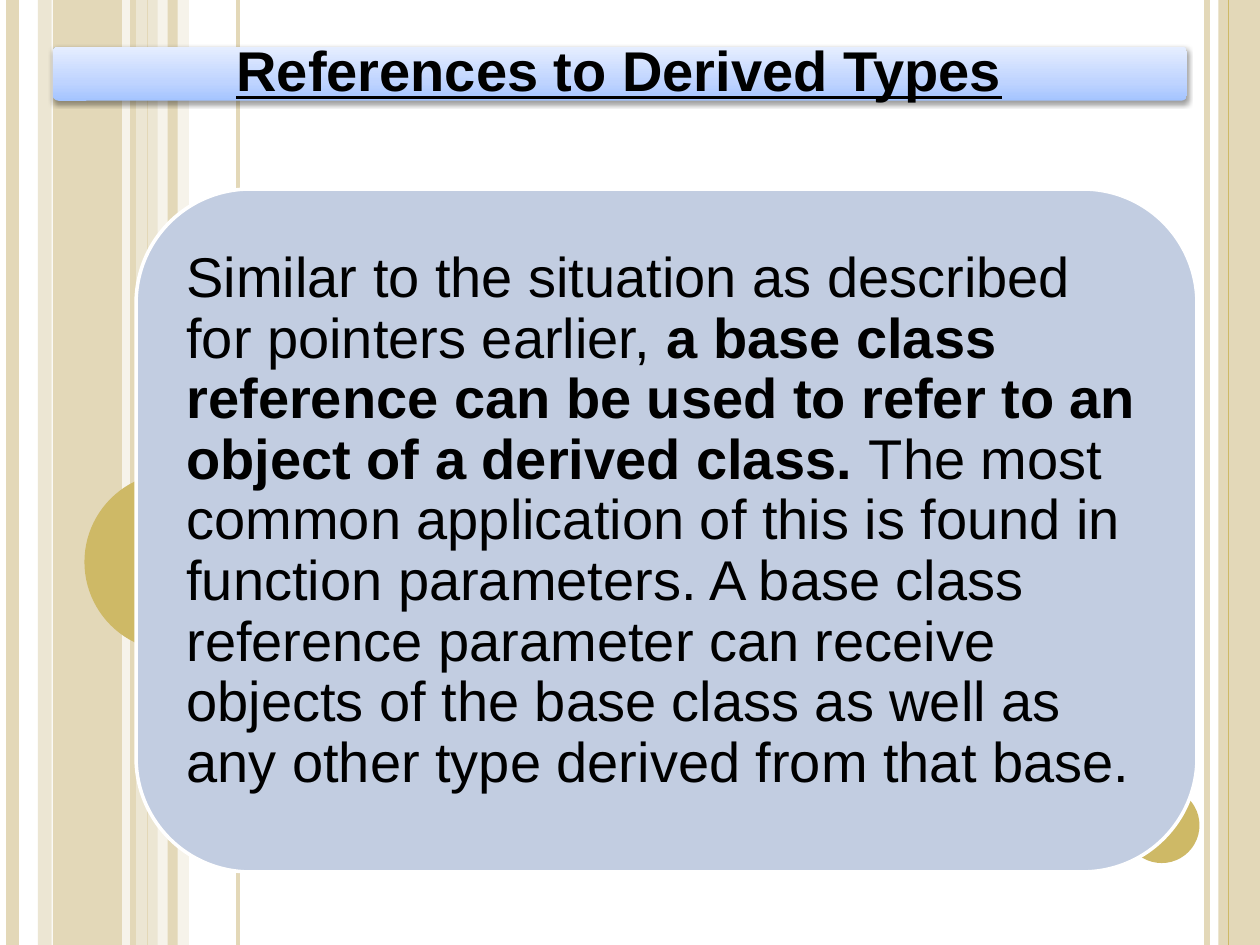
from lxml.etree import SubElement
from pptx import Presentation
from pptx.dml.color import RGBColor
from pptx.enum.shapes import MSO_CONNECTOR, MSO_SHAPE
from pptx.enum.text import MSO_ANCHOR, MSO_AUTO_SIZE, PP_ALIGN
from pptx.oxml import parse_xml
from pptx.oxml.ns import nsdecls, qn
from pptx.util import Inches, Pt

COLUMNS, ROWS = 100, 75
SAND = RGBColor(0xE3, 0xD8, 0xB8)
PALE_SAND = RGBColor(0xEC, 0xE6, 0xD3)
IVORY = RGBColor(0xF6, 0xF3, 0xEA)
GOLD = RGBColor(0xCE, 0xB9, 0x66)
PANEL_BLUE = RGBColor(0xC2, 0xCD, 0xE1)
WHITE = RGBColor(0xFF, 0xFF, 0xFF)
BLACK = RGBColor(0, 0, 0)
BAR_STOPS = [
    (0, RGBColor(0xA4, 0xC4, 0xFF)),
    (35, RGBColor(0xBF, 0xD4, 0xFF)),
    (100, RGBColor(0xE6, 0xEE, 0xFF)),
]

# left column, width in columns, colour
BANDS = [
    (96.7, 3.3, SAND),
    (4.2, 6.7, SAND),
    (3, 1.1, PALE_SAND),
    (10.8, 2, PALE_SAND),
    (12.5, 2.5, IVORY),
    (13.3, 0.8, SAND),
]
# column, line width in points, colour
STRIPES = [
    (95.8, 3, SAND),
    (0.8, 4.5, SAND),
    (97.5, 0.75, GOLD),
    (1.2, 4.5, SAND),
    (10, 4.5, IVORY),
    (9.3, 4.5, SAND),
    (18.9, 2.25, SAND),
    (11.7, 0.75, SAND),
    (99.7, 4.5, SAND),
]
# left column, top row, diameter
DISCS = [(89.2, 62.5, 6), (6.7, 37.5, 14.2)]

HEADING = "References to Derived Types"
# text, bold
STATEMENT = [
    ("Similar to the situation as described for pointers earlier, ", False),
    ("a base class reference can be used to refer to an object of a derived class. ", True),
    ("The most common application of this is found in function parameters. "
     "A base class reference parameter can receive objects of the base class "
     "as well as any other type derived from that base.", False),
]


class SlideBuilder:
    """Keeps the text style and the current slide; lengths are grid units."""

    def __init__(self, presentation, font="Arial", size=32):
        self.font, self.size = font, size
        self.column = presentation.slide_width / COLUMNS
        self.row = presentation.slide_height / ROWS
        self.slide = presentation.slides.add_slide(presentation.slide_layouts[1])

    def frame(self, left, top, width, height):
        return (round(left * self.column), round(top * self.row),
                round(width * self.column), round(height * self.row))

    def block(self, kind, place, fill=None, outline=None, corner=None):
        block = self.slide.shapes.add_shape(kind, *self.frame(*place))
        block.shadow.inherit = False
        if fill is not None:
            block.fill.solid()
            block.fill.fore_color.rgb = fill
        if outline is None:
            block.line.fill.background()
        else:
            block.line.color.rgb = outline
            block.line.width = Pt(2)
        if corner is not None:
            block.adjustments[0] = corner
        return block

    def stripe(self, column, points, colour):
        x, top, _, height = self.frame(column, 0, 0, ROWS)
        stripe = self.slide.shapes.add_connector(
            MSO_CONNECTOR.STRAIGHT, x, top, x, top + height)
        stripe.line.color.rgb = colour
        stripe.line.width = Pt(points)
        SubElement(stripe._element.spPr, qn("a:effectLst"))

    def glossy_bar(self, place):
        """Rounded bar with a vertical gradient and a soft shadow below."""
        bar = self.block(MSO_SHAPE.ROUNDED_RECTANGLE, place, corner=0.1)
        stops = "".join(
            f'<a:gs pos="{share * 1000}"><a:srgbClr val="{colour}"/></a:gs>'
            for share, colour in BAR_STOPS)
        properties = bar._element.spPr
        properties.find(qn("a:prstGeom")).addnext(parse_xml(
            f'<a:gradFill {nsdecls("a")} rotWithShape="1"><a:gsLst>{stops}</a:gsLst>'
            '<a:lin ang="16200000" scaled="0"/></a:gradFill>'))
        properties.find(qn("a:effectLst")).append(parse_xml(
            f'<a:outerShdw {nsdecls("a")} blurRad="{Pt(3.1)}" dist="{Pt(1.6)}" '
            'dir="5400000" rotWithShape="0"><a:srgbClr val="000000">'
            '<a:alpha val="38000"/></a:srgbClr></a:outerShdw>'))

    def passage(self, placeholder, place, pieces, insets, anchor, align, underline=False):
        """Fill a placeholder with one unbulleted paragraph, in front of the rest."""
        self.slide.shapes._spTree.append(placeholder._element)
        (placeholder.left, placeholder.top,
         placeholder.width, placeholder.height) = self.frame(*place)
        text = placeholder.text_frame
        text.word_wrap = True
        text.auto_size = MSO_AUTO_SIZE.NONE
        text.vertical_anchor = anchor
        text.margin_left = text.margin_right = Inches(insets[0])
        text.margin_top = text.margin_bottom = Inches(insets[1])
        paragraph = text.paragraphs[0]
        properties = paragraph._p.get_or_add_pPr()
        properties.set("marL", "0")
        properties.set("indent", "0")
        SubElement(properties, qn("a:buNone"))
        paragraph.alignment = align
        paragraph.line_spacing = 0.9
        paragraph.space_before = Pt(0)
        for words, bold in pieces:
            run = paragraph.add_run()
            run.text = words
            run.font.name, run.font.size = self.font, Pt(self.size)
            run.font.bold, run.font.underline = bold, underline
            run.font.color.rgb = BLACK


def main():
    presentation = Presentation()
    presentation.slide_width, presentation.slide_height = Inches(10), Inches(7.5)
    builder = SlideBuilder(presentation)
    title, body = builder.slide.placeholders

    for left, width, colour in BANDS:
        builder.block(MSO_SHAPE.RECTANGLE, (left, 0, width, ROWS), colour)
    for column, points, colour in STRIPES:
        builder.stripe(column, points, colour)
    for left, top, diameter in DISCS:
        builder.block(MSO_SHAPE.OVAL, (left, top, diameter, diameter), GOLD)

    builder.glossy_bar((4.2, 3.7, 90, 4.3))
    builder.passage(title, (4.3, 3.8, 89.7, 4.1), [(HEADING, True)], (0.07, 0.04),
                    MSO_ANCHOR.MIDDLE, PP_ALIGN.CENTER, underline=True)
    builder.block(MSO_SHAPE.ROUNDED_RECTANGLE, (10.8, 15, 84.2, 54.2),
                  PANEL_BLUE, outline=WHITE, corner=0.167)
    builder.passage(body, (13.5, 17.6, 78.9, 48.9), STATEMENT, (0.13, 0.22),
                    MSO_ANCHOR.TOP, PP_ALIGN.LEFT)
    presentation.save("out.pptx")


if __name__ == "__main__":
    main()
